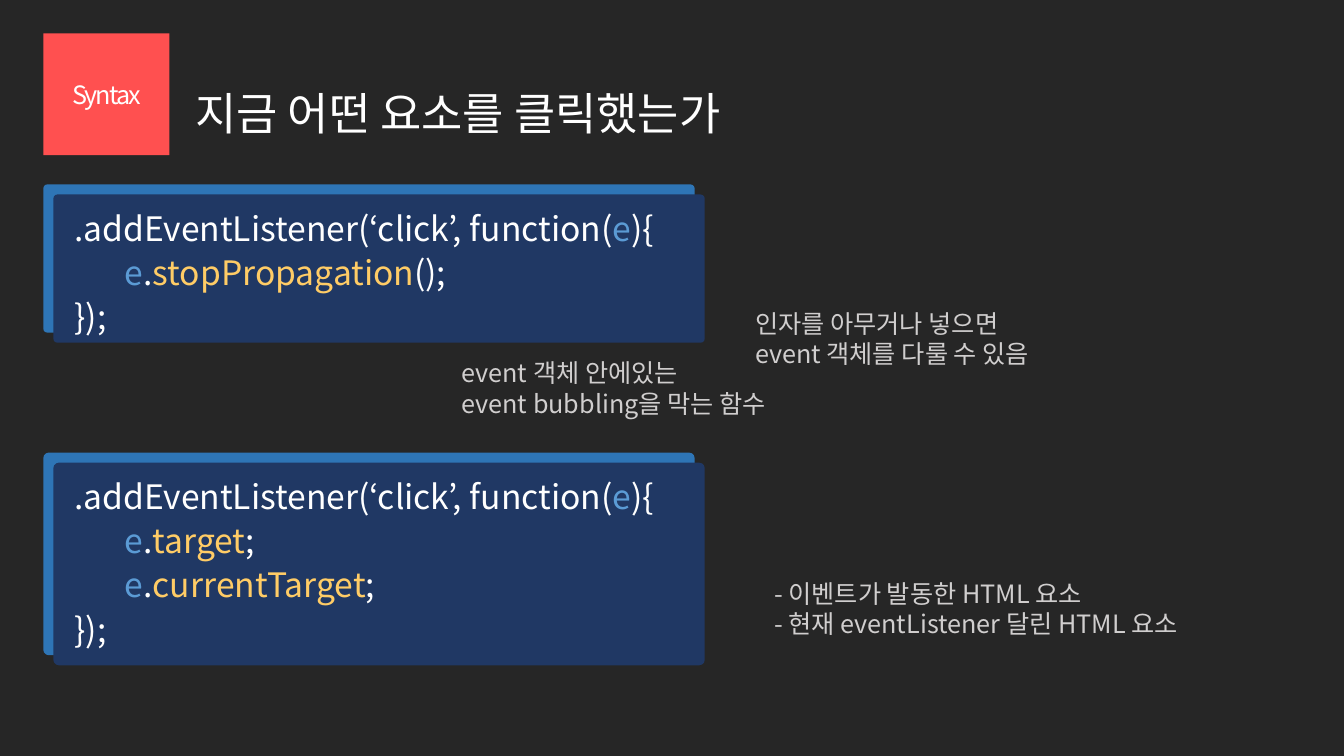
from lxml.etree import SubElement
from pptx import Presentation
from pptx.dml.color import RGBColor
from pptx.enum.shapes import MSO_SHAPE as Shape
from pptx.enum.text import MSO_ANCHOR as Anchor, MSO_AUTO_SIZE as AutoSize, PP_ALIGN as Align
from pptx.oxml.ns import qn
from pptx.util import Emu, Pt

PX = 9144
FONT = "Noto Sans CJK KR"
COLORS = {
    "background": "262626",
    "badge": "FF5050",
    "panel_back": "2E75B6",
    "panel_front": "203864",
    "plain": "FFFFFF",
    "variable": "5B9BD5",
    "member": "FFCC66",
    "note": "D0CECE",
}
OPENING = [(".addEventListener(‘click’, function(", "plain"), ("e", "variable"), ("){", "plain")]
CLOSING = [("});", "plain")]


def px(length):
    return Emu(length * PX)


def color(name):
    return RGBColor.from_string(COLORS[name])


def write_text(shape, lines, size=18, fill="plain", spacing=1.0, align=Align.LEFT,
               anchor=Anchor.TOP, grow=False, tracking=None):
    frame = shape.text_frame
    frame.word_wrap = True
    frame.vertical_anchor = anchor
    frame.auto_size = AutoSize.SHAPE_TO_FIT_TEXT if grow else AutoSize.NONE
    for index, line in enumerate(lines):
        paragraph = frame.add_paragraph() if index else frame.paragraphs[0]
        paragraph.alignment = align
        paragraph.line_spacing = spacing
        for text, tone in [(line, fill)] if isinstance(line, str) else line:
            run = paragraph.add_run()
            run.text = text
            run.font.size = Pt(size)
            run.font.name = FONT
            run.font.color.rgb = color(tone)
            properties = run.font._element
            SubElement(properties, qn("a:ea"), typeface=FONT)
            if tracking is not None:
                properties.set("spc", str(tracking))


def add_text(slide, box, lines, **text_format):
    shape = slide.shapes.add_textbox(*map(px, box))
    write_text(shape, lines, **text_format)


def add_block(slide, box, fill, corner):
    shape = slide.shapes.add_shape(Shape.ROUNDED_RECTANGLE, *map(px, box))
    shape.adjustments[0] = corner
    shape.shadow.inherit = False
    shape.fill.solid()
    shape.fill.fore_color.rgb = color(fill)
    shape.line.fill.background()
    return shape


def add_code_panel(slide, top, height, statements):
    for offset, fill in ((0, "panel_back"), (10, "panel_front")):
        add_block(slide, (43 + offset, top + offset, 646, height), fill, 0.027)
    body = [
        [("\t", "plain"), ("e", "variable"), (".", "plain"), (member, "member"), (ending, "plain")]
        for member, ending in statements
    ]
    add_text(slide, (64, top + 14, 667, height - 8), [OPENING, *body, CLOSING],
             size=24, spacing=1.1, grow=True)


def add_note(slide, left, top, width, lines):
    add_text(slide, (left, top, width, 71), lines, fill="note", grow=True)


def main():
    presentation = Presentation()
    presentation.slide_width, presentation.slide_height = px(1333), px(750)
    slide = presentation.slides.add_slide(presentation.slide_layouts[6])
    slide.background.fill.solid()
    slide.background.fill.fore_color.rgb = color("background")

    badge = add_block(slide, (43, 33, 125, 121), "badge", 0)
    write_text(badge, ["Syntax"], align=Align.CENTER, anchor=Anchor.MIDDLE, tracking=-150)
    add_text(slide, (184, 65, 994, 100), ["지금 어떤 요소를 클릭했는가"],
             size=32, spacing=0.9, anchor=Anchor.MIDDLE)

    add_code_panel(slide, 183, 147, [("stopPropagation", "();")])
    add_note(slide, 739, 301, 296, ["인자를 아무거나 넣으면", "event 객체를 다룰 수 있음"])
    add_note(slide, 448, 350, 324, ["event 객체 안에있는", "event bubbling을 막는 함수"])

    add_code_panel(slide, 449, 201, [("target", ";"), ("currentTarget", ";")])
    add_note(slide, 758, 569, 430,
             ["- 이벤트가 발동한 HTML 요소", "- 현재 eventListener 달린 HTML 요소"])

    presentation.save("out.pptx")


if __name__ == "__main__":
    main()
